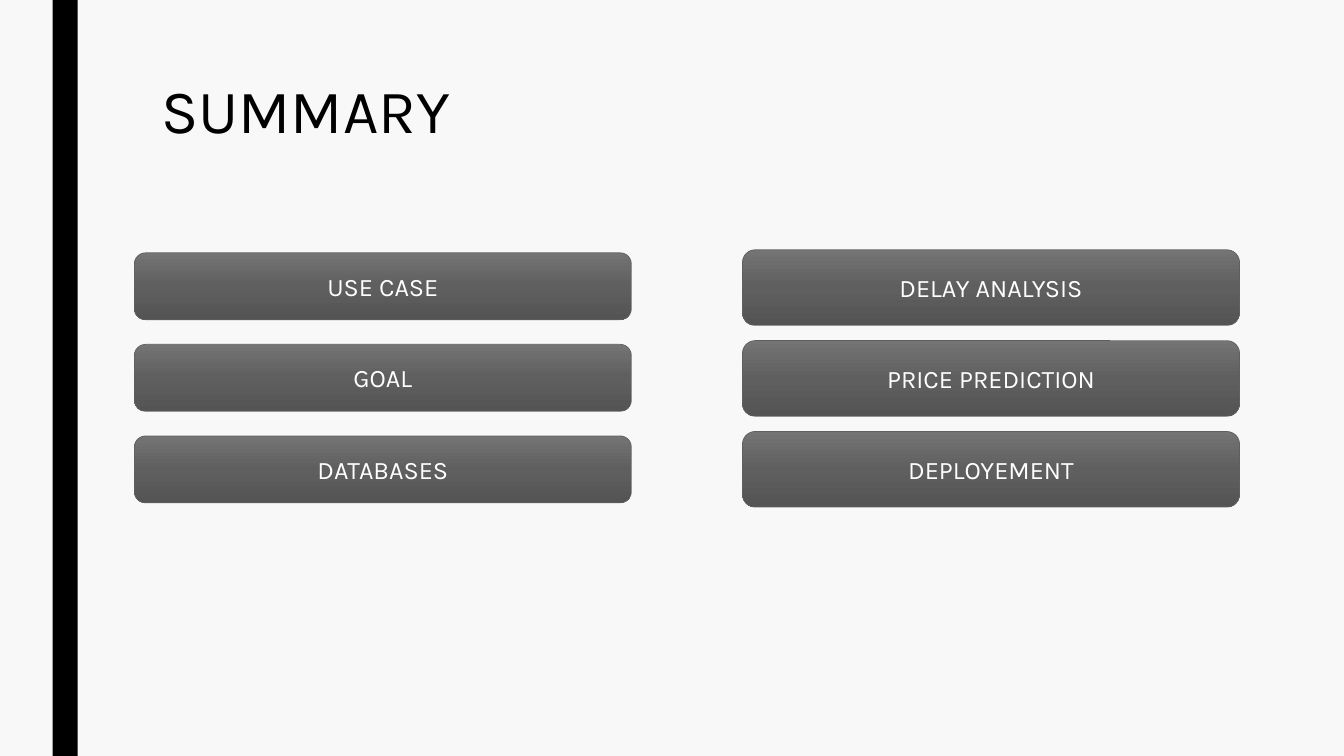
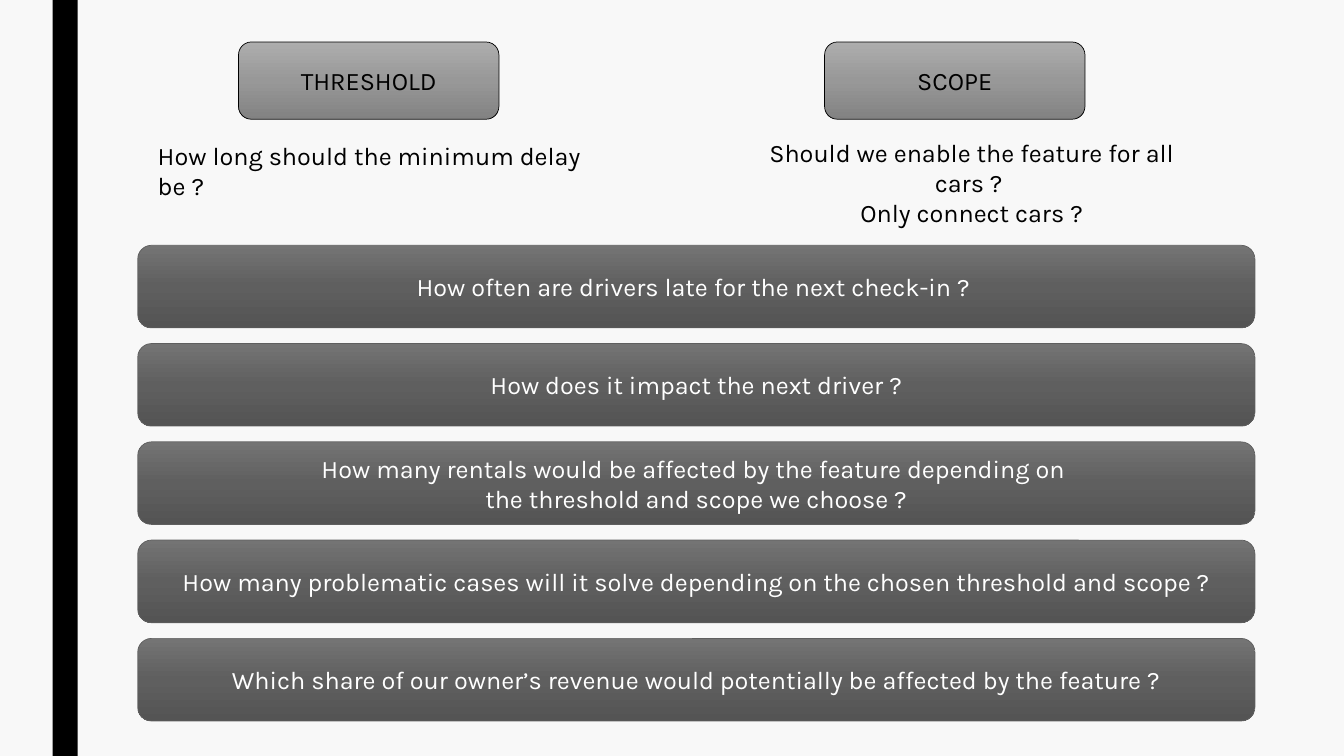
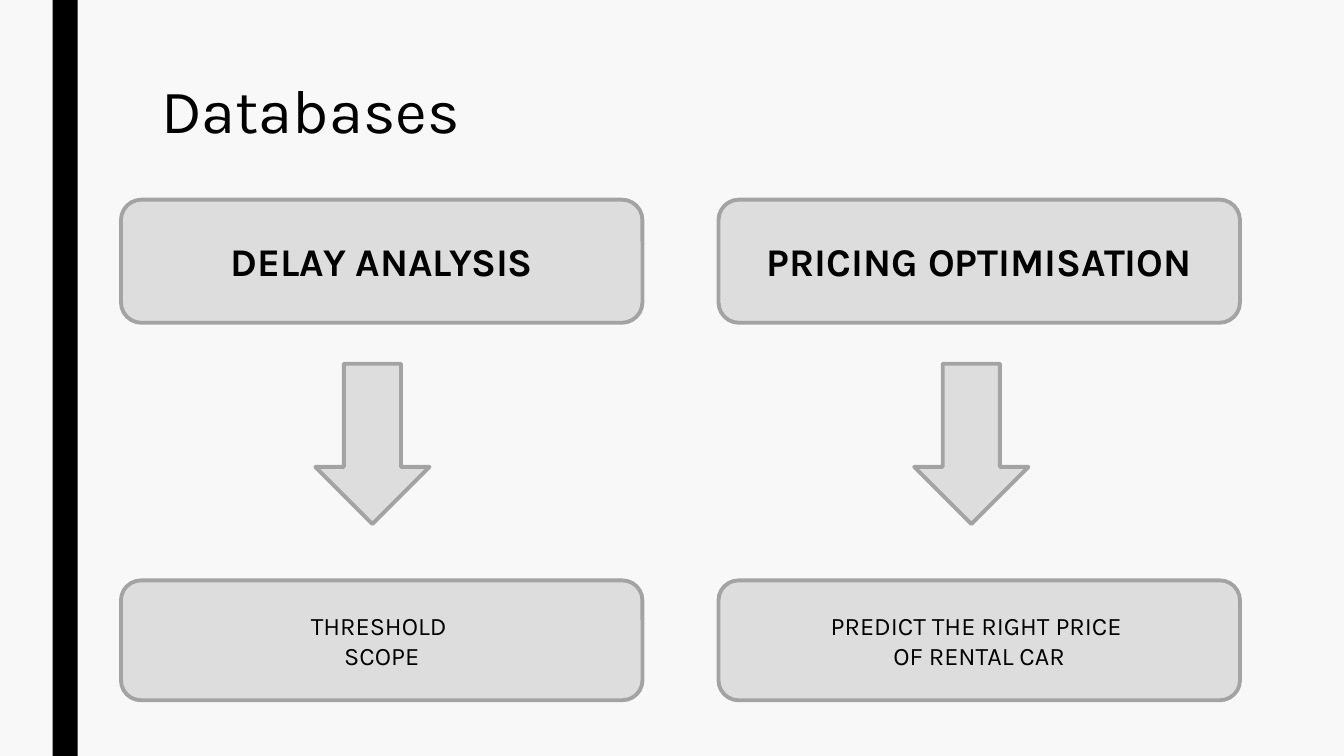
import copy

import pptx
import pptx.dml.color
import pptx.enum.dml
import pptx.enum.shapes
import pptx.enum.text
import pptx.oxml.ns
import pptx.util

Pt = pptx.util.Pt
RGBColor = pptx.dml.color.RGBColor
SHAPE = pptx.enum.shapes.MSO_SHAPE
ALIGN = pptx.enum.text.PP_ALIGN
ANCHOR = pptx.enum.text.MSO_ANCHOR

FONT = "Karla"
PAPER = RGBColor(0xF8, 0xF8, 0xF8)
BLACK = RGBColor(0, 0, 0)
WHITE = RGBColor(0xFF, 0xFF, 0xFF)
CARD_FILL = RGBColor(0xDD, 0xDD, 0xDD)
CARD_LINE = RGBColor(0xA3, 0xA3, 0xA3)
DARK_LINE = RGBColor(0x5F, 0x5F, 0x5F)
DARK_GRADIENT = (RGBColor(0x74, 0x74, 0x74), DARK_LINE, RGBColor(0x54, 0x54, 0x54))
LIGHT_GRADIENT = (
    RGBColor(0xAD, 0xAD, 0xAD),
    RGBColor(0x98, 0x98, 0x98),
    RGBColor(0x82, 0x82, 0x82),
)


class Deck:
    """Holds the shared style and the slide being built."""

    def __init__(self):
        self.presentation = pptx.Presentation()
        self.presentation.slide_width = Pt(960)
        self.presentation.slide_height = Pt(540)
        background = self.presentation.slide_master.background.fill
        background.solid()
        background.fore_color.rgb = PAPER
        self.slide = None

    def add_slide(self, title=None):
        layout = self.presentation.slide_layouts[5 if title else 6]
        self.slide = self.presentation.slides.add_slide(layout)
        if title:
            shape = self.slide.shapes.title
            shape.left, shape.top = Pt(108), Pt(54)
            shape.width, shape.height = Pt(756), Pt(117)
            self.set_text(shape, title, 44, BLACK, ALIGN.LEFT, ANCHOR.TOP)
            shape.text_frame.paragraphs[0].line_spacing = 0.89

    def set_text(self, shape, text, size, color, alignment, anchor, bold=False):
        frame = shape.text_frame
        frame.text = text
        frame.word_wrap = True
        frame.vertical_anchor = anchor
        for paragraph in frame.paragraphs:
            paragraph.alignment = alignment
            for run in paragraph.runs:
                run.font.name = FONT
                run.font.size = Pt(size)
                run.font.bold = bold
                run.font.color.rgb = color

    def text(self, text, left, top, width, height, alignment):
        box = self.slide.shapes.add_textbox(Pt(left), Pt(top), Pt(width), Pt(height))
        self.set_text(box, text, 18, BLACK, alignment, ANCHOR.TOP)
        box.text_frame.auto_size = pptx.enum.text.MSO_AUTO_SIZE.SHAPE_TO_FIT_TEXT

    def shape(self, kind, left, top, width, height, line, weight):
        shape = self.slide.shapes.add_shape(
            kind, Pt(left), Pt(top), Pt(width), Pt(height)
        )
        shape.shadow.inherit = False
        shape.line.color.rgb = line
        shape.line.width = Pt(weight)
        return shape

    def button(self, text, left, top, width, height,
               gradient=DARK_GRADIENT, line=DARK_LINE, color=WHITE):
        button = self.shape(
            SHAPE.ROUNDED_RECTANGLE, left, top, width, height, line, 0.5
        )
        button.fill.gradient()
        button.fill.gradient_angle = 270
        stops = button.element.spPr.find(".//" + pptx.oxml.ns.qn("a:gsLst"))
        stops.append(copy.deepcopy(stops[-1]))
        for index, stop in enumerate(button.fill.gradient_stops):
            stop.position = index / 2
            stop.color.rgb = gradient[index]
        self.set_text(button, text, 18, color, ALIGN.CENTER, ANCHOR.MIDDLE)

    def buttons(self, texts, left, top, width, height, pitch):
        for row, text in enumerate(texts):
            self.button(text, left, top + row * pitch, width, height)

    def outlined(self, kind, left, top, width, height):
        shape = self.shape(kind, left, top, width, height, CARD_LINE, 2.75)
        shape.fill.solid()
        shape.fill.fore_color.rgb = CARD_FILL
        return shape

    def card(self, text, left, top, height, size, bold=False):
        card = self.outlined(SHAPE.ROUNDED_RECTANGLE, left, top, 372.5, height)
        self.set_text(card, text, size, BLACK, ALIGN.CENTER, ANCHOR.MIDDLE, bold)

    def add_master_band(self):
        band = self.shape(SHAPE.RECTANGLE, 37.5, 0, 18, 540, BLACK, 0)
        band.fill.solid()
        band.fill.fore_color.rgb = BLACK
        band.line.fill.background()
        band.element.nvSpPr.cNvPr.set("id", "100")
        self.presentation.slide_master.shapes.element.insert(2, band.element)


def build_summary(deck):
    deck.add_slide("SUMMARY")
    deck.buttons(("USE CASE", "GOAL", "DATABASES"), 96, 180.6, 355, 47.8, 65.4)
    deck.buttons(
        ("DELAY ANALYSIS", "PRICE PREDICTION", "DEPLOYEMENT"),
        530.4, 178.4, 355, 54, 64.9,
    )


def build_goal(deck):
    deck.add_slide()
    for text, left in (("THRESHOLD", 170.4), ("SCOPE", 589)):
        deck.button(text, left, 30, 186, 55.2, LIGHT_GRADIENT, BLACK, BLACK)
    deck.text("How long should the minimum delay be ?", 105.6, 96.5, 337, 29, ALIGN.LEFT)
    deck.text(
        "Should we enable the feature for all cars ? \nOnly connect cars ?",
        525.6, 94.3, 337, 51, ALIGN.CENTER,
    )
    questions = (
        "How often are drivers late for the next check-in ? ",
        "How does it impact the next driver ?",
        "How many rentals would be affected by the feature depending on \n"
        "the threshold and scope we choose ?",
        "How many problematic cases will it solve depending on the chosen "
        "threshold and scope ?",
        "Which share of our owner’s revenue would potentially be affected "
        "by the feature ?",
    )
    deck.buttons(questions, 98.4, 175.2, 798, 59, 70.2)


def build_databases(deck):
    deck.add_slide("Databases")
    columns = (
        (86.4, 225.2, "DELAY ANALYSIS", "THRESHOLD \nSCOPE"),
        (513.2, 653, "PRICING OPTIMISATION",
         "PREDICT THE RIGHT PRICE \nOF RENTAL CAR"),
    )
    for left, arrow_left, heading, outcome in columns:
        deck.card(heading, left, 142.6, 88, 28, bold=True)
        deck.outlined(SHAPE.DOWN_ARROW, arrow_left, 259.8, 81.6, 114.5)
        deck.card(outcome, left, 414.6, 85.6, 18)


def main():
    deck = Deck()
    build_summary(deck)
    build_goal(deck)
    build_databases(deck)
    deck.add_master_band()
    deck.presentation.save("out.pptx")


if __name__ == "__main__":
    main()
